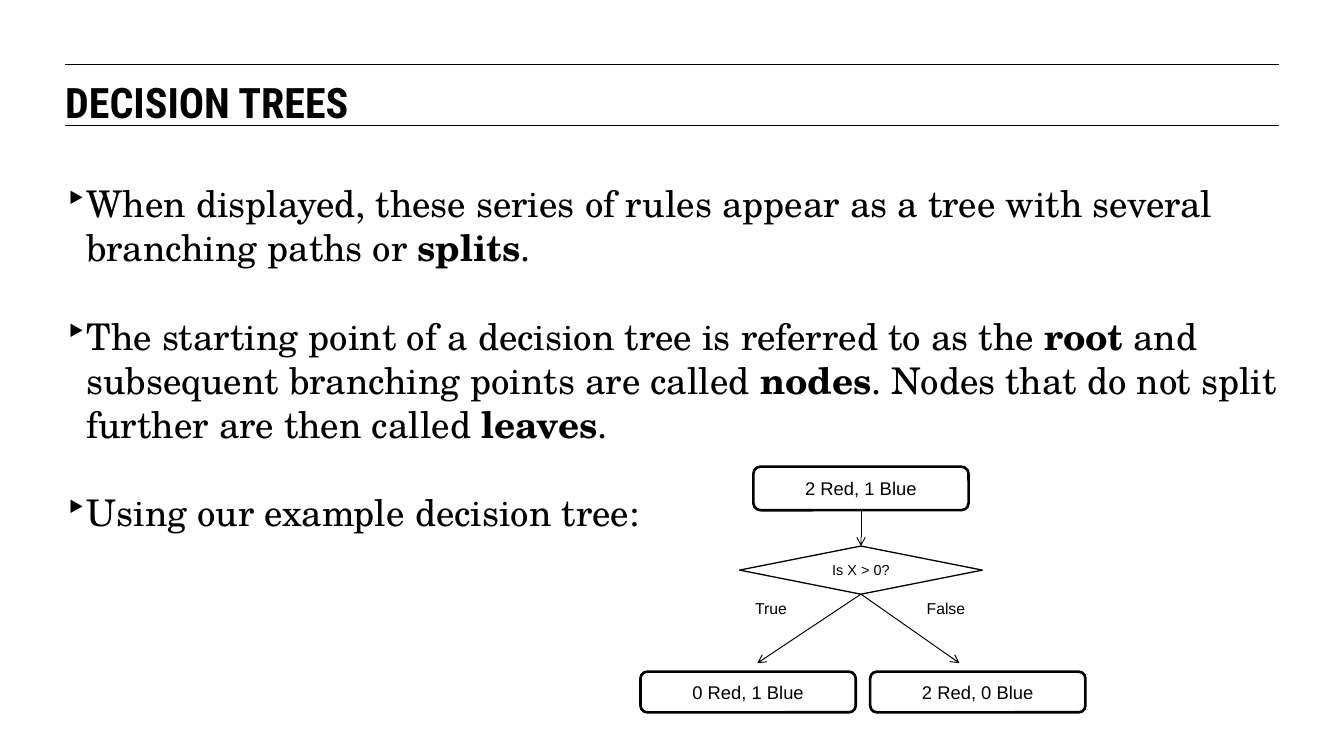
from lxml import etree
from pptx import Presentation
from pptx.dml.color import RGBColor
from pptx.enum.shapes import MSO_CONNECTOR, MSO_SHAPE
from pptx.enum.text import MSO_ANCHOR, PP_ALIGN
from pptx.oxml.ns import qn
from pptx.util import Pt

STRAIGHT = MSO_CONNECTOR.STRAIGHT
ROUNDED, DIAMOND = MSO_SHAPE.ROUNDED_RECTANGLE, MSO_SHAPE.DIAMOND
LEFT, CENTER = PP_ALIGN.LEFT, PP_ALIGN.CENTER
TOP, MIDDLE = MSO_ANCHOR.TOP, MSO_ANCHOR.MIDDLE

TITLE = "DECISION TREES"
BULLETS = [
    [("When displayed, these series of rules appear as a tree with several "
      "branching paths or ", False), ("splits", True), (".", False)],
    [("The starting point of a decision tree is referred to as the ", False),
     ("root", True), (" and subsequent branching points are called ", False),
     ("nodes", True), (". Nodes that do not split further are then called ", False),
     ("leaves", True), (".", False)],
    [("Using our example decision tree:", False)],
]
ROOT = "2 Red, 1 Blue"
QUESTION = "Is X > 0?"
BRANCHES = [
    dict(answer="True", label_x=546.5, tip_x=577, leaf="0 Red, 1 Blue", leaf_x=488),
    dict(answer="False", label_x=679.7, tip_x=731, leaf="2 Red, 0 Blue", leaf_x=663),
]

THEME = dict(
    ink=RGBColor(0, 0, 0),
    title_font="Roboto Condensed", body_font="TeX Gyre Schola", tree_font="Arial",
    title=32, body=28, node=14, label=12, question=11,
    rule=0.75, outline=1, node_outline=2,
)
MARGIN, CONTENT_W = 49.7, 924.4
RULES_Y = (49.5, 95.8)
BULLET_INDENT, BULLET_GAP = 16, 33.6
TREE_X, NODE_W = 656, 164
ROOT_Y, ROOT_H = 355.7, 33.2
QUESTION_Y, QUESTION_W, QUESTION_H = 416.2, 185, 36.7
TIP_Y, LEAF_Y, LEAF_H = 505.5, 512, 31
LABEL_W, LABEL_H = 82, 37

prs = Presentation()
prs.slide_width, prs.slide_height = Pt(1024), Pt(575.5)
s = prs.slides.add_slide(prs.slide_layouts[6])


def write(tf, paragraphs, font, size, align=LEFT, anchor=TOP, inset=None,
          bold=False, bullet=None, gap=0):
    tf.word_wrap = True
    tf.vertical_anchor = anchor
    if inset is not None:
        tf.margin_left = tf.margin_right = tf.margin_top = tf.margin_bottom = Pt(inset)
    if isinstance(paragraphs, str):
        paragraphs = [[(paragraphs, bold)]]
    for i, runs in enumerate(paragraphs):
        p = tf.paragraphs[0] if i == 0 else tf.add_paragraph()
        p.alignment = align
        if i:
            p.space_before = Pt(gap)
        if bullet:
            pPr = p._p.get_or_add_pPr()
            pPr.set("marL", str(Pt(BULLET_INDENT)))
            pPr.set("indent", str(-Pt(BULLET_INDENT)))
            etree.SubElement(pPr, qn("a:buChar")).set("char", bullet)
        for text, strong in runs:
            r = p.add_run()
            r.text = text
            r.font.name, r.font.size, r.font.bold = font, Pt(size), strong
            r.font.color.rgb = THEME["ink"]


def add_text(x, y, w, h, paragraphs, **style):
    box = s.shapes.add_textbox(Pt(x), Pt(y), Pt(w), Pt(h))
    write(box.text_frame, paragraphs, **style)


def add_node(kind, x, y, w, h, text, size, outline):
    sp = s.shapes.add_shape(kind, Pt(x), Pt(y), Pt(w), Pt(h))
    sp.shadow.inherit = False
    sp.fill.background()
    sp.line.color.rgb = THEME["ink"]
    sp.line.width = Pt(outline)
    write(sp.text_frame, text, THEME["tree_font"], size, align=CENTER, anchor=MIDDLE)
    return sp


def add_line(x1, y1, x2, y2, arrow=False):
    line = s.shapes.add_connector(STRAIGHT, Pt(x1), Pt(y1), Pt(x2), Pt(y2))
    line.line.color.rgb = THEME["ink"]
    line.line.width = Pt(THEME["rule"])
    if arrow:
        etree.SubElement(line.line._get_or_add_ln(), qn("a:tailEnd")).set("type", "arrow")
    etree.SubElement(line._element.spPr, qn("a:effectLst"))
    return line


for y in RULES_Y:
    add_line(MARGIN, y, MARGIN + CONTENT_W, y)
add_text(MARGIN, 58.3, CONTENT_W, 33.8, TITLE, font=THEME["title_font"],
         size=THEME["title"], bold=True, inset=0)
add_text(MARGIN, 138, CONTENT_W, 267, BULLETS, font=THEME["body_font"],
         size=THEME["body"], inset=0, bullet="‣", gap=BULLET_GAP)

root = add_node(ROUNDED, TREE_X - NODE_W / 2, ROOT_Y, NODE_W, ROOT_H, ROOT,
                THEME["node"], THEME["node_outline"])
question = add_node(DIAMOND, TREE_X - QUESTION_W / 2, QUESTION_Y, QUESTION_W, QUESTION_H,
                    QUESTION, THEME["question"], THEME["outline"])
stem = add_line(TREE_X, ROOT_Y + ROOT_H, TREE_X, QUESTION_Y, arrow=True)
stem.begin_connect(root, 2)
stem.end_connect(question, 0)

split_y = QUESTION_Y + QUESTION_H
for b in BRANCHES:
    add_node(ROUNDED, b["leaf_x"], LEAF_Y, NODE_W, LEAF_H, b["leaf"],
             THEME["node"], THEME["node_outline"])
    branch = add_line(TREE_X, split_y, b["tip_x"], TIP_Y, arrow=True)
    branch.begin_connect(question, 2)
    add_text(b["label_x"], split_y, LABEL_W, LABEL_H, b["answer"],
             font=THEME["tree_font"], size=THEME["label"], align=CENTER)

prs.save("out.pptx")
